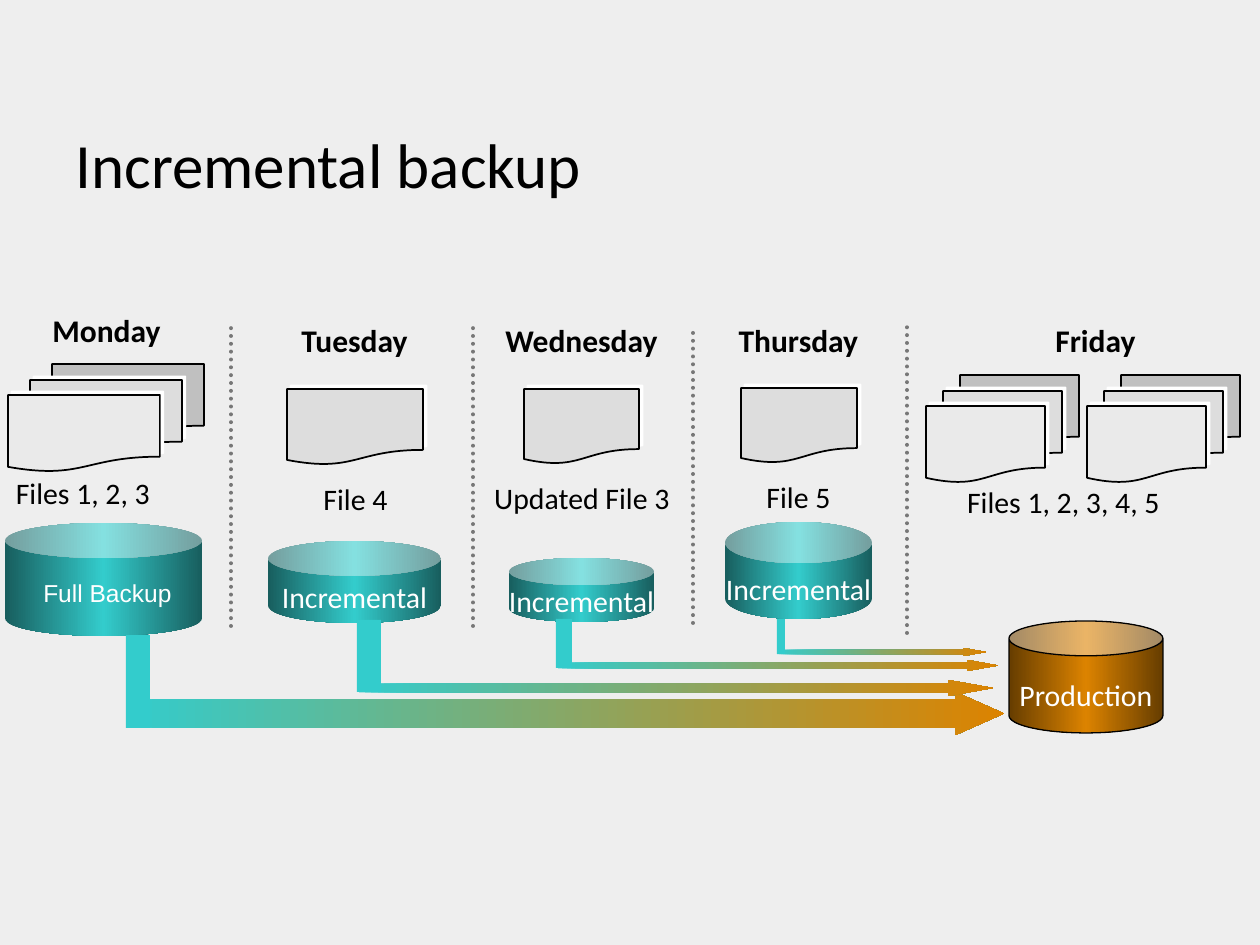
from dataclasses import dataclass

from lxml.etree import SubElement
from pptx import Presentation
from pptx.dml.color import RGBColor
from pptx.enum.dml import MSO_LINE
from pptx.enum.shapes import MSO_CONNECTOR, MSO_SHAPE
from pptx.enum.text import MSO_ANCHOR, PP_ALIGN
from pptx.oxml.ns import qn
from pptx.util import Pt

PX = 914400 / 126


def emu(*lengths):
    return [round(length * PX) for length in lengths]


@dataclass(frozen=True)
class Theme:
    background: str = "EEEEEE"
    ink: str = "000000"
    light: str = "FFFFFF"
    divider: str = "777777"
    papers: tuple = ("C0C0C0", "DDDDDD", "EAEAEA")
    backup: str = "33CCCC"
    backup_dark: str = "185E5E"
    production: str = "DC8300"
    production_dark: str = "663D00"
    font: str = "Calibri"
    plain_font: str = "Arial"
    title_size: int = 36
    day_size: int = 18
    label_size: int = 17
    small_size: int = 14


class BackupSlide:
    def __init__(self, presentation, theme):
        self.theme = theme
        self.slide = presentation.slides.add_slide(presentation.slide_layouts[5])
        self.shapes = self.slide.shapes
        fill = self.slide.background.fill
        fill.solid()
        fill.fore_color.rgb = RGBColor.from_string(theme.background)

    def run(self, paragraph, text, size, color, bold=False, font=None):
        run = paragraph.add_run()
        run.text = text
        run.font.size = Pt(size)
        run.font.bold = bold
        run.font.color.rgb = RGBColor.from_string(color)
        run.font.name = font or self.theme.font
        return run

    def drop_shadow(self, effects, color, distance, degrees):
        shadow = SubElement(effects, qn("a:outerShdw"), dist=str(Pt(distance)),
                            dir=str(degrees * 60000), algn="ctr", rotWithShape="0")
        SubElement(shadow, qn("a:srgbClr"), val=color)

    def title(self, text, box):
        title = self.shapes.title
        title.left, title.top, title.width, title.height = emu(*box)
        title.text_frame.vertical_anchor = MSO_ANCHOR.BOTTOM
        paragraph = title.text_frame.paragraphs[0]
        paragraph.alignment = PP_ALIGN.LEFT
        self.run(paragraph, text, self.theme.title_size, self.theme.ink)

    def label(self, text, box, size, color, spacing=None, **style):
        frame = self.shapes.add_textbox(*emu(*box)).text_frame
        frame.margin_left = frame.margin_right = 0
        frame.margin_top = frame.margin_bottom = 0
        frame.word_wrap = False
        paragraph = frame.paragraphs[0]
        paragraph.alignment = PP_ALIGN.CENTER
        paragraph.line_spacing = spacing
        return self.run(paragraph, text, size, color, **style)

    def day(self, text, box):
        self.label(text, box, self.theme.day_size, self.theme.ink, 0.9, bold=True)

    def files(self, text, box):
        self.label(text, box, self.theme.label_size, self.theme.ink, 0.9)

    def shadowed_label(self, text, box):
        run = self.label(text, box, self.theme.label_size, self.theme.light)
        fill = run.font._element.find(qn("a:solidFill"))
        effects = SubElement(run.font._element, qn("a:effectLst"))
        fill.addnext(effects)
        self.drop_shadow(effects, self.theme.ink, 2, 45)

    def shape(self, kind, box, colors, outline=None, adjustments=()):
        """Add a preset shape; several colors make an even left-to-right gradient."""
        shape = self.shapes.add_shape(kind, *emu(*box))
        shape.shadow.inherit = False
        for index, value in enumerate(adjustments):
            shape.adjustments[index] = value
        if len(colors) == 1:
            shape.fill.solid()
            shape.fill.fore_color.rgb = RGBColor.from_string(colors[0])
        else:
            shape.fill.gradient()
            shape.fill.gradient_angle = 0
            stops = next(shape._element.spPr.iter(qn("a:gsLst")))
            stops.clear()
            for index, color in enumerate(colors):
                position = index * 100000 // (len(colors) - 1)
                stop = SubElement(stops, qn("a:gs"), pos=str(position))
                SubElement(stop, qn("a:srgbClr"), val=color)
        if outline:
            shape.line.color.rgb = RGBColor.from_string(self.theme.ink)
            shape.line.width = Pt(outline)
        else:
            shape.line.fill.background()
        return shape

    def paper(self, box, color, shadow=True):
        paper = self.shape(MSO_SHAPE.FLOWCHART_DOCUMENT, box, [color], 1)
        if shadow:
            effects = paper._element.spPr.find(qn("a:effectLst"))
            self.drop_shadow(effects, self.theme.light, 2.8, 315)

    def paper_stack(self, left, top, width, step):
        """Stack three papers from the back one at left, top towards lower left."""
        for index, color in enumerate(self.theme.papers):
            box = (left - index * step, top + round(index * 15.5), width, 77)
            self.paper(box, color, shadow=index > 0)

    def can(self, box, edge, middle, lid, outline=None):
        self.shape(MSO_SHAPE.CAN, box, [edge, middle, edge], outline, [lid])

    def backup_can(self, box, lid=0.424):
        self.can(box, self.theme.backup_dark, self.theme.backup, lid)

    def divider(self, x, bottom):
        line = self.shapes.add_connector(MSO_CONNECTOR.STRAIGHT, *emu(x, bottom, x, 326))
        line.line.color.rgb = RGBColor.from_string(self.theme.divider)
        line.line.width = Pt(2.25)
        line.line.dash_style = MSO_LINE.ROUND_DOT
        line.line._ln.set("cap", "rnd")
        SubElement(line._element.spPr, qn("a:effectLst"))

    def flow(self, pipe_left, pipe_top, pipe_width, arrow, shaft=0.531, head=2.789):
        """Draw an arrow and the pipe that runs down to the lower edge of its shaft."""
        colors = [self.theme.backup, self.theme.production]
        self.shape(MSO_SHAPE.RIGHT_ARROW, arrow, colors, adjustments=[shaft, head])
        _, top, _, height = arrow
        bottom = round(top + height * (1 + shaft) / 2)
        pipe = (pipe_left, pipe_top, pipe_width, bottom - pipe_top)
        self.shape(MSO_SHAPE.RECTANGLE, pipe, [self.theme.backup])


def main():
    presentation = Presentation()
    presentation.slide_width, presentation.slide_height = emu(1260, 945)
    theme = Theme()
    page = BackupSlide(presentation, theme)
    page.title("Incremental backup", (63, 49, 1134, 158))

    page.files("Files 1, 2, 3", (6, 479, 154, 32))
    page.paper_stack(52, 364, 152, 22)
    page.day("Monday", (36, 315, 141, 34))
    page.backup_can((5, 523, 197, 113), 0.311)
    page.label("Full Backup", (6, 578, 203, 29), theme.small_size, theme.light,
               font=theme.plain_font)

    incremental_days = [
        # day, its box, files, their box, paper, can, label left and top, divider
        ("Tuesday", (287, 325, 135, 34), "File 4", (320, 485, 71, 33),
         (287, 389, 136, 76), (268, 541, 173, 82), (276, 579), (231, 626)),
        ("Wednesday", (490, 325, 183, 34), "Updated File 3", (487, 484, 190, 33),
         (524, 389, 115, 75), (509, 558, 145, 64), (503, 583), (473, 626)),
        ("Thursday", (725, 325, 147, 34), "File 5", (763, 483, 71, 33),
         (741, 388, 116, 75), (725, 522, 147, 97), (720, 571), (693, 623)),
    ]
    for day, day_box, files, files_box, paper, can, label, divider in incremental_days:
        page.divider(*divider)
        page.backup_can(can)
        page.shadowed_label("Incremental", (*label, 157, 35))
        page.paper(paper, theme.papers[1])
        page.day(day, day_box)
        page.files(files, files_box)

    page.divider(907, 633)
    page.flow(126, 635, 24, (126, 692, 878, 43), 0.656, 1.125)
    page.can((1009, 621, 154, 112), theme.production_dark, theme.production, 0.311, 0.75)
    page.files("Files 1, 2, 3, 4, 5", (952, 488, 223, 33))
    for left in (960, 1121):
        page.paper_stack(left, 375, 119, 17)
    page.shadowed_label("Production", (1016, 677, 140, 35))
    page.day("Friday", (1052, 325, 87, 68))

    page.flow(357, 620, 24, (359, 680, 634, 16))
    page.flow(556, 619, 16, (558, 660, 440, 11))
    page.flow(777, 619, 8, (777, 648, 209, 8))
    presentation.save("out.pptx")


if __name__ == "__main__":
    main()
